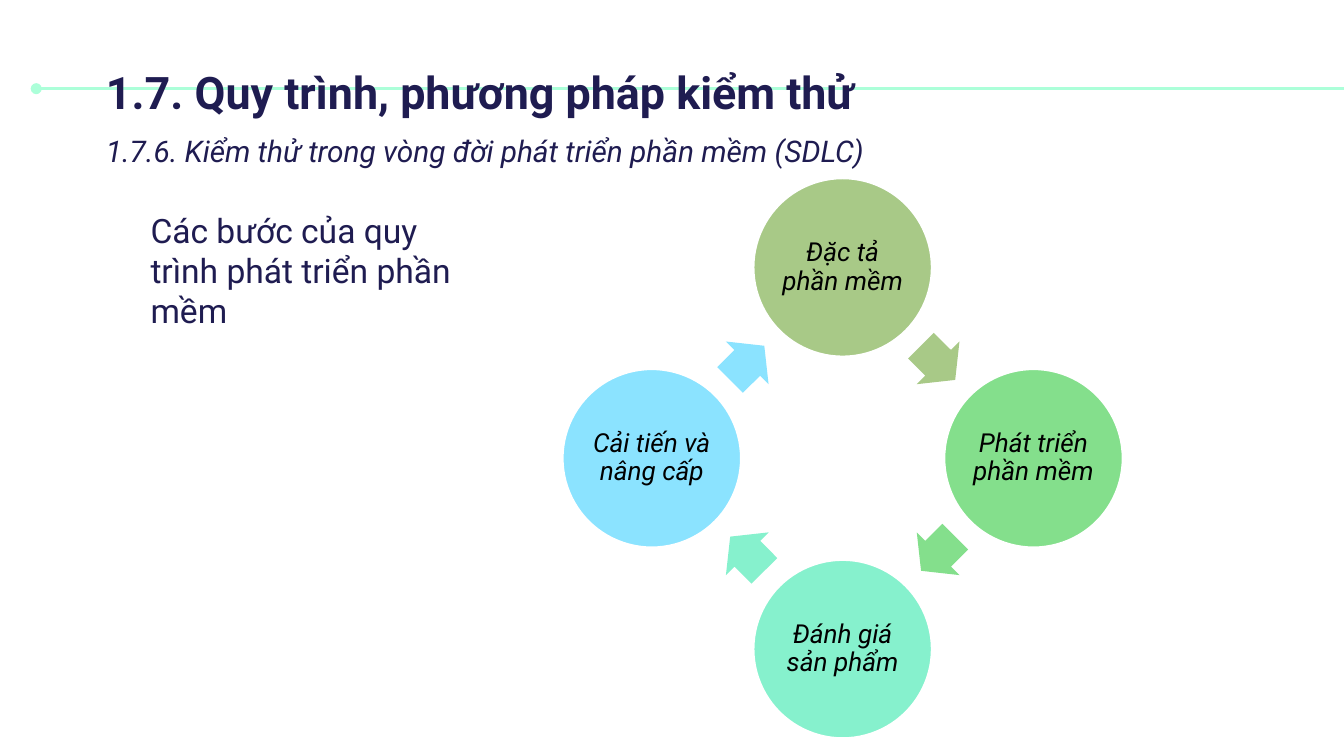
import math
from dataclasses import dataclass

from lxml import etree
from pptx import Presentation
from pptx.dml.color import RGBColor
from pptx.enum.shapes import MSO_CONNECTOR, MSO_SHAPE
from pptx.enum.text import MSO_ANCHOR, PP_ALIGN
from pptx.oxml.ns import qn
from pptx.util import Inches, Pt

LEFT, CENTER = PP_ALIGN.LEFT, PP_ALIGN.CENTER
TOP, MIDDLE = MSO_ANCHOR.TOP, MSO_ANCHOR.MIDDLE
OVAL, RIGHT_ARROW = MSO_SHAPE.OVAL, MSO_SHAPE.RIGHT_ARROW
STRAIGHT = MSO_CONNECTOR.STRAIGHT


@dataclass(frozen=True)
class Theme:
    font: str = "Roboto"
    ink: str = "1F1C51"
    step_ink: str = "000000"
    rule: str = "ACFFD9"
    outline: str = "FFFFFF"
    title_size: int = 24
    subtitle_size: int = 16
    body_size: int = 18
    step_size: int = 14


@dataclass(frozen=True)
class Step:
    label: str
    color: str


THEME = Theme()
STEPS = [
    Step("Đặc tả phần mềm", "A8C987"),
    Step("Phát triển phần mềm", "84DF8C"),
    Step("Đánh giá sản phẩm", "86F1CD"),
    Step("Cải tiến và nâng cấp", "8BE3FF"),
]
SLIDE_WIDTH = 10
CYCLE_X, CYCLE_Y, CYCLE_RADIUS = 6.27, 3.41, 1.42
STEP_DIAMETER = 1.34
ARROW_WIDTH, ARROW_HEIGHT = 0.36, 0.45


def write_text(frame, text: str, *, size: int, color: str = THEME.ink,
               bold: bool = False, italic: bool = False, align=LEFT,
               anchor=TOP, inset: float = 0.1, indent: float = 0,
               spacing: float = 1.0) -> None:
    frame.word_wrap = True
    frame.vertical_anchor = anchor
    frame.margin_left = Inches(inset + indent)
    frame.margin_right = frame.margin_top = frame.margin_bottom = Inches(inset)
    paragraph = frame.paragraphs[0]
    paragraph.text = text
    paragraph.alignment = align
    paragraph.line_spacing = spacing
    font = paragraph.runs[0].font
    font.name, font.size = THEME.font, Pt(size)
    font.bold, font.italic = bold, italic
    font.color.rgb = RGBColor.from_string(color)


def add_text(slide, box: tuple[float, ...], text: str, **text_format) -> None:
    textbox = slide.shapes.add_textbox(*map(Inches, box))
    write_text(textbox.text_frame, text, **text_format)


def add_title_rule(slide) -> None:
    rule = slide.shapes.add_connector(
        STRAIGHT, Inches(0.27), Inches(0.66), Inches(10.1), Inches(0.66))
    rule.line.color.rgb = RGBColor.from_string(THEME.rule)
    rule.line.width = Pt(1.5)
    etree.SubElement(rule.line._get_or_add_ln(), qn("a:headEnd"), type="oval")
    etree.SubElement(rule._element.spPr, qn("a:effectLst"))


def add_centered_shape(slide, kind, x: float, y: float,
                       width: float, height: float, color: str):
    """Add a plain filled shape whose centre is at x, y."""
    shape = slide.shapes.add_shape(
        kind, Inches(x - width / 2), Inches(y - height / 2),
        Inches(width), Inches(height))
    shape.shadow.inherit = False
    shape.fill.solid()
    shape.fill.fore_color.rgb = RGBColor.from_string(color)
    shape.line.fill.background()
    return shape


def cycle_point(angle: float, radius: float) -> tuple[float, float]:
    """Return the point at an angle in degrees, clockwise from the top."""
    turn = math.radians(angle)
    return CYCLE_X + radius * math.sin(turn), CYCLE_Y - radius * math.cos(turn)


def add_cycle(slide, steps: list[Step]) -> None:
    sweep = 360 / len(steps)
    arrow_radius = CYCLE_RADIUS * math.cos(math.radians(sweep / 2))
    for index, step in enumerate(steps):
        angle = index * sweep
        circle = add_centered_shape(
            slide, OVAL, *cycle_point(angle, CYCLE_RADIUS),
            STEP_DIAMETER, STEP_DIAMETER, step.color)
        circle.line.color.rgb = RGBColor.from_string(THEME.outline)
        circle.line.width = Pt(2)
        write_text(circle.text_frame, step.label, size=THEME.step_size,
                   color=THEME.step_ink, italic=True, align=CENTER,
                   anchor=MIDDLE, inset=0.02, spacing=0.9)

        arrow_angle = angle + sweep / 2
        arrow = add_centered_shape(
            slide, RIGHT_ARROW, *cycle_point(arrow_angle, arrow_radius),
            ARROW_WIDTH, ARROW_HEIGHT, step.color)
        arrow.adjustments[0] = 0.6
        arrow.adjustments[1] = 0.5
        arrow.rotation = arrow_angle


def main() -> None:
    presentation = Presentation()
    presentation.slide_width = Inches(SLIDE_WIDTH)
    presentation.slide_height = Inches(SLIDE_WIDTH * 9 / 16)
    slide = presentation.slides.add_slide(presentation.slide_layouts[6])

    add_title_rule(slide)
    add_text(slide, (0.69, 0.38, 8.49, 0.59),
             "1.7. Quy trình, phương pháp kiểm thử",
             size=THEME.title_size, bold=True)
    add_text(slide, (0.69, 0.85, 8.14, 0.46),
             "1.7.6. Kiểm thử trong vòng đời phát triển phần mềm (SDLC)",
             size=THEME.subtitle_size, italic=True, spacing=1.15)
    add_text(slide, (0.87, 1.46, 2.72, 1.04),
             "Các bước của quy trình phát triển phần mềm",
             size=THEME.body_size, indent=0.15)
    add_cycle(slide, STEPS)

    presentation.save("out.pptx")


if __name__ == "__main__":
    main()
